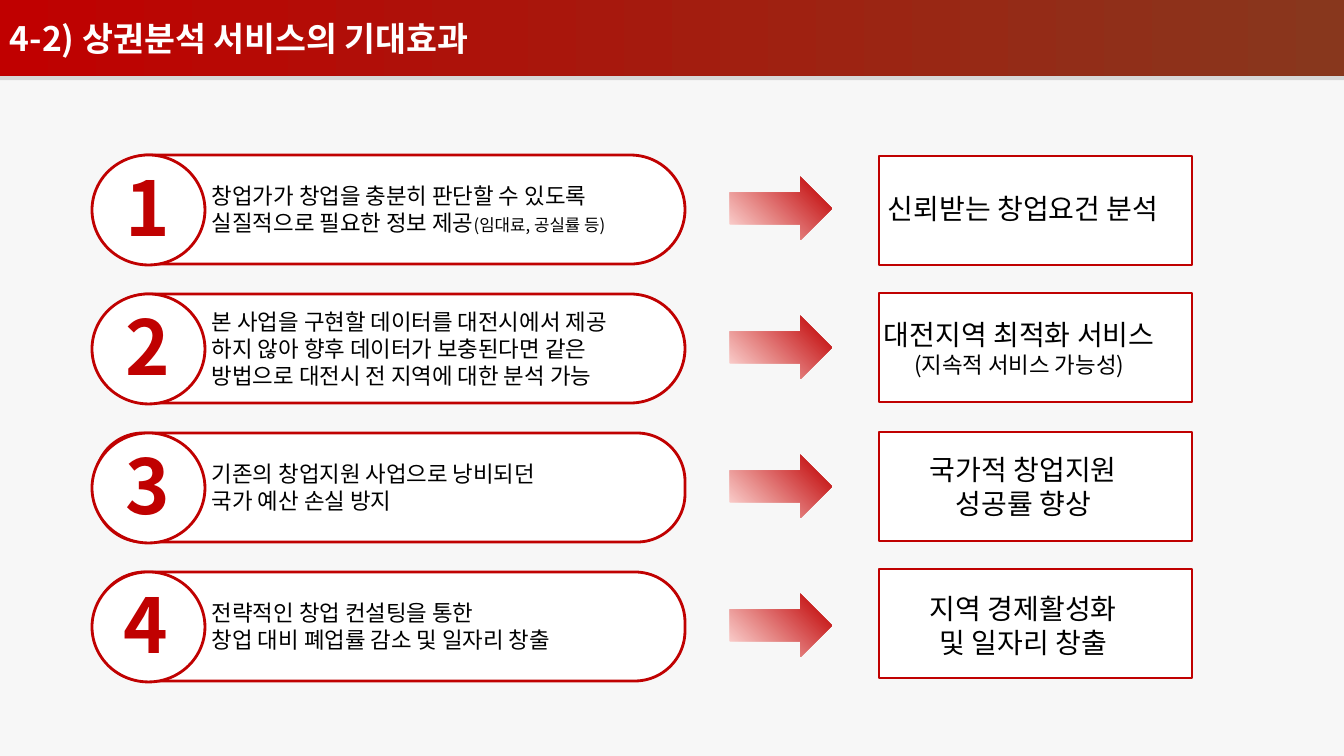
from lxml import etree
from pptx import Presentation
from pptx import util as u
from pptx.dml.color import RGBColor
from pptx.enum import shapes, text
from pptx.oxml.ns import qn

PX = 914400 / 100.8
FONT = "Noto Sans CJK KR"
RED, WHITE, BLACK = "C00101", "FFFFFF", "000000"
FIRST_CENTER, ROW_PITCH = 209, 139

# Per row: panel rounding, number left, effect lines, result top, result text left and width, result lines;
# each line is a list of (words, size) runs
ROWS = [
    (0.5, 116,
     [[("창업가가 창업을 충분히 판단할 수 있도록", 16)],
      [("실질적으로 필요한 정보 제공", 16), ("(임대료, 공실률 등)", 12)]],
     156, 878, 322, [[("신뢰받는 창업요건 분석", 20)]]),
    (0.5, 116,
     [[("본 사업을 구현할 데이터를 대전시에서 제공", 16)],
      [("하지 않아 향후 데이터가 보충된다면 같은", 16)],
      [("방법으로 대전시 전 지역에 대한 분석 가능", 16)]],
     293, 874, 322, [[("대전지역 최적화 서비스", 20)], [("(지속적 서비스 가능성)", 16)]]),
    (0.44, 116,
     [[("기존의 창업지원 사업으로 낭비되던", 16)], [("국가 예산 손실 방지", 16)]],
     432, 920, 228, [[("국가적 창업지원", 20)], [("성공률 향상", 20)]]),
    (0.46, 114,
     [[("전략적인 창업 컨설팅을 통한", 16)], [("창업 대비 폐업률 감소 및 일자리 창출", 16)]],
     569, 920, 228, [[("지역 경제활성화", 20)], [("및 일자리 창출", 20)]]),
]


def px(*lengths):
    return [u.Emu(round(length * PX)) for length in lengths]


def color(hex_string):
    return RGBColor.from_string(hex_string)


def style_run(run, size, hex_string, bold=False):
    run.font.size = u.Pt(size)
    run.font.name = FONT
    run.font.bold = bold
    run.font.color.rgb = color(hex_string)
    etree.SubElement(run.font._element, qn("a:ea"), typeface=FONT)


def add_shape(slide, kind, left, top, width, height):
    shape = slide.shapes.add_shape(kind, *px(left, top, width, height))
    shape.shadow.inherit = False
    shape.line.fill.background()
    return shape


def add_outlined(slide, kind, left, top, width, height):
    shape = add_shape(slide, kind, left, top, width, height)
    shape.fill.solid()
    shape.fill.fore_color.rgb = color(WHITE)
    shape.line.color.rgb = color(RED)
    shape.line.width = u.Pt(2)
    return shape


def fill_gradient(shape, *stops):
    shape.fill.gradient()
    shape.fill.gradient_angle = 0
    for stop, (position, hex_string) in zip(shape.fill.gradient_stops, stops):
        stop.position = position
        stop.color.rgb = color(hex_string)


def add_text(slide, left, top, width, height, lines, hex_string=BLACK, bold=False, center_rest=False):
    frame = slide.shapes.add_textbox(*px(left, top, width, height)).text_frame
    frame.word_wrap = False
    frame.auto_size = text.MSO_AUTO_SIZE.SHAPE_TO_FIT_TEXT
    for index, runs in enumerate(lines):
        paragraph = frame.add_paragraph() if index else frame.paragraphs[0]
        if index and center_rest:
            paragraph.alignment = text.PP_ALIGN.CENTER
        for words, size in runs:
            run = paragraph.add_run()
            run.text = words
            style_run(run, size, hex_string, bold)


def add_header(slide):
    band = add_shape(slide, shapes.MSO_SHAPE.RECTANGLE, 0, 0, 1344, 76)
    fill_gradient(band, (0, "C00000"), (1, "88371D"))
    band.text_frame.text = "4-2) 상권분석 서비스의 기대효과"
    band.text_frame.vertical_anchor = text.MSO_ANCHOR.MIDDLE
    paragraph = band.text_frame.paragraphs[0]
    paragraph.alignment = text.PP_ALIGN.LEFT
    style_run(paragraph.runs[0], 24, WHITE, True)

    # Faint rule under the band
    rule = slide.shapes.add_connector(shapes.MSO_CONNECTOR.STRAIGHT, *px(0, 78, 1344, 78))
    rule.line.color.rgb = color(BLACK)
    rule.line.width = u.Pt(3)
    properties = rule._element.spPr
    etree.SubElement(properties.find(".//" + qn("a:srgbClr")), qn("a:alpha"), val="12000")
    etree.SubElement(properties, qn("a:effectLst"))


def add_arrow(slide, center):
    arrow = add_shape(slide, shapes.MSO_SHAPE.RIGHT_ARROW, 730, center - 32, 102, 63)
    fill_gradient(arrow, (0.04, RED), (1, "FFE0DE"))
    # Radial shading that starts from the top right corner
    linear = arrow._element.spPr.find(".//" + qn("a:lin"))
    radial = etree.Element(qn("a:path"), path="circle")
    etree.SubElement(radial, qn("a:fillToRect"), l="100000", b="100000")
    linear.getparent().replace(linear, radial)


def add_effect(slide, center, number, number_left, rounding, lines):
    panel = add_outlined(slide, shapes.MSO_SHAPE.ROUNDED_RECTANGLE, 95, center - 54, 590, 109)
    panel.adjustments[0] = rounding
    add_outlined(slide, shapes.MSO_SHAPE.OVAL, 92, center - 54, 113, 110)
    add_text(slide, number_left, center - 53, 64, 102, [[(str(number), 54)]], RED, True)
    height = 10 + 27 * len(lines)
    add_text(slide, 202, center - height // 2, 468, height, lines)


def add_result(slide, center, top, text_left, text_width, lines):
    add_outlined(slide, shapes.MSO_SHAPE.RECTANGLE, 879, top, 313, 109)
    height = 10 + sum(34 if runs[0][1] == 20 else 27 for runs in lines)
    add_text(slide, text_left, center - height // 2, text_width, height, lines, center_rest=True)


def main():
    presentation = Presentation()
    presentation.slide_width, presentation.slide_height = px(1344, 756)
    slide = presentation.slides.add_slide(presentation.slide_layouts[6])
    slide.background.fill.solid()
    slide.background.fill.fore_color.rgb = color("F7F7F7")

    add_header(slide)
    for index, (rounding, number_left, effect, top, text_left, text_width, result) in enumerate(ROWS):
        center = FIRST_CENTER + index * ROW_PITCH
        add_effect(slide, center, index + 1, number_left, rounding, effect)
        add_arrow(slide, center)
        add_result(slide, center, top, text_left, text_width, result)
    presentation.save("out.pptx")


if __name__ == "__main__":
    main()
